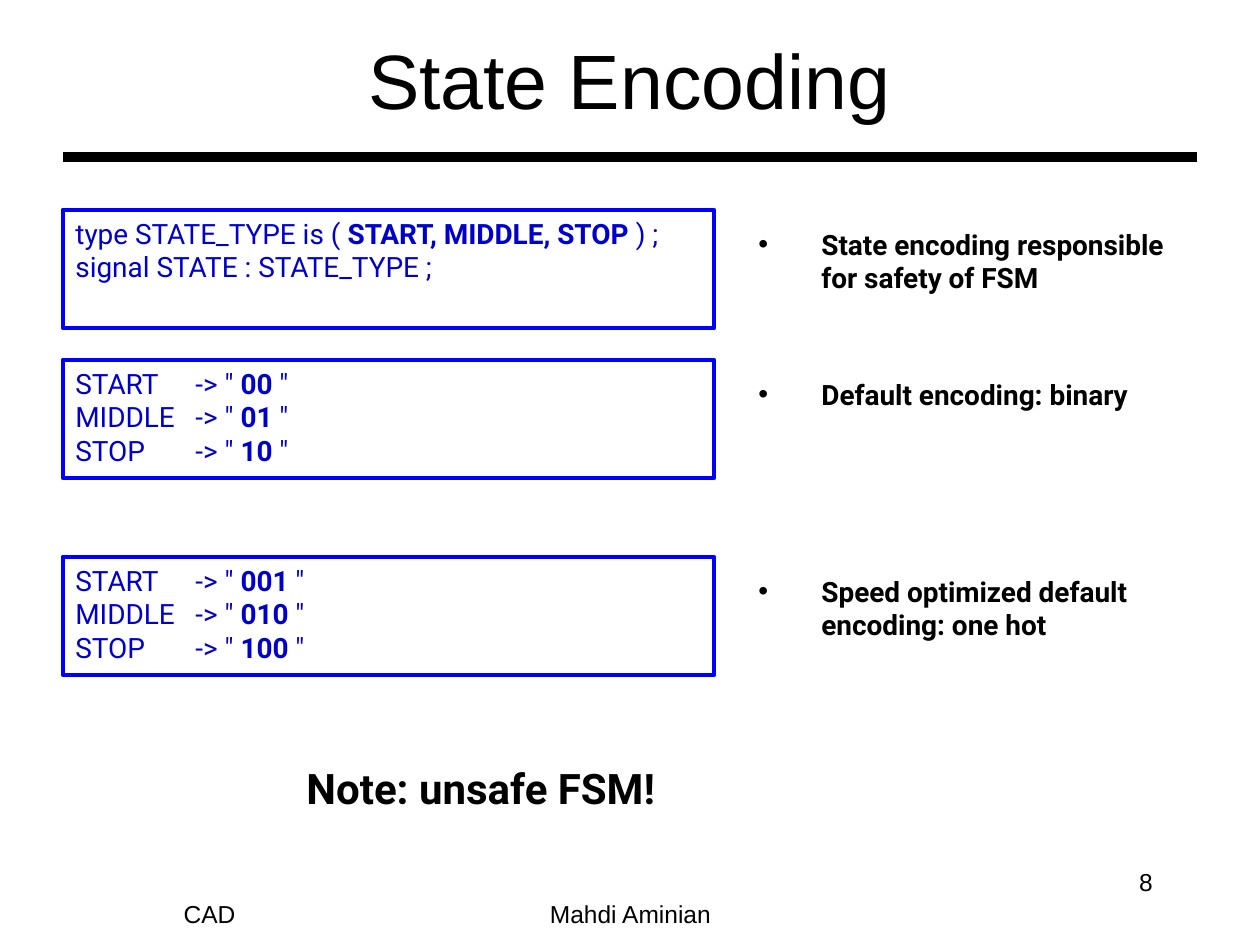
"""Build the State Encoding slide."""
import pptx
import pptx.util
import pptx.dml.color
import pptx.enum.shapes
import pptx.enum.text
import lxml.etree

EMU_PER_PX = 914400 / 126
COLORS = {"ink": "000000", "code": "0000CC", "frame": "0000FF"}
ALIGN = pptx.enum.text.PP_ALIGN
ANCHOR = pptx.enum.text.MSO_ANCHOR

TITLE = "State Encoding"
NOTE = "Note: unsafe FSM!"
FOOTERS = [
    ("CAD", (10, 882, 399, 63), ALIGN.CENTER, ANCHOR.MIDDLE),
    ("Mahdi Aminian", (431, 882, 399, 63), ALIGN.CENTER, ANCHOR.MIDDLE),
    ("8", (1081, 861, 84, 63), ALIGN.RIGHT, ANCHOR.TOP),
]
DECLARATION = [
    ("type STATE_TYPE is (", " START, MIDDLE, STOP", " ) ;"),
    ("signal STATE : STATE_TYPE ;",),
]
STATES = ["START", "MIDDLE", "STOP"]


def encoding(codes):
    return [(f'{state}\t-> "', f" {code}", ' "') for state, code in zip(STATES, codes)]


ROWS = [
    (210, DECLARATION, "State encoding responsible\nfor safety of FSM"),
    (360, encoding(["00", "01", "10"]), "Default encoding: binary"),
    (557, encoding(["001", "010", "100"]), "Speed optimized default\nencoding: one hot"),
]
CODE_LEFT, CODE_WIDTH, CODE_HEIGHT = 63, 651, 118
BULLET_LEFT, BULLET_WIDTH, BULLET_DROP, BULLET_INDENT = 746, 462, 11, 63
ARROW_TAB = 120


def px(value):
    return pptx.util.Emu(round(value * EMU_PER_PX))


def box(*values):
    return [px(value) for value in values]


def color(name):
    return pptx.dml.color.RGBColor.from_string(COLORS[name])


def add_property(paragraph, tag, **attributes):
    namespace = pptx.oxml.ns.nsdecls("a")
    element = pptx.oxml.parse_xml(f"<a:{tag} {namespace}/>")
    for name, value in attributes.items():
        element.set(name, str(value))
    paragraph._p.get_or_add_pPr().append(element)
    return element


def style(paragraph, size, font="Roboto", ink="ink", bold=False):
    paragraph.font.size = pptx.util.Pt(size)
    paragraph.font.name = font
    paragraph.font.color.rgb = color(ink)
    paragraph.font.bold = bold


def add_text(slide, text, place, wrap=True):
    frame = slide.shapes.add_textbox(*box(*place)).text_frame
    frame.word_wrap = wrap
    paragraph = frame.paragraphs[0]
    paragraph.text = text
    return frame, paragraph


def add_code(slide, top, lines):
    shape = slide.shapes.add_shape(
        pptx.enum.shapes.MSO_SHAPE.RECTANGLE,
        *box(CODE_LEFT, top, CODE_WIDTH, CODE_HEIGHT))
    shape.shadow.inherit = False
    shape.fill.background()
    shape.line.color.rgb = color("frame")
    shape.line.width = pptx.util.Pt(2.75)
    frame = shape.text_frame
    frame.vertical_anchor = ANCHOR.TOP
    for number, parts in enumerate(lines):
        paragraph = frame.add_paragraph() if number else frame.paragraphs[0]
        paragraph.alignment = ALIGN.LEFT
        if "\t" in parts[0]:
            tabs = add_property(paragraph, "tabLst")
            tab = lxml.etree.SubElement(tabs, pptx.oxml.ns.qn("a:tab"))
            tab.set("pos", str(px(ARROW_TAB)))
            tab.set("algn", "l")
        style(paragraph, 16, ink="code")
        for position, part in enumerate(parts):
            run = paragraph.add_run()
            run.text = part
            run.font.bold = position == 1


def add_bullet(slide, top, text):
    height = 80 if "\n" in text else 47
    place = (BULLET_LEFT, top + BULLET_DROP, BULLET_WIDTH, height)
    paragraph = add_text(slide, text, place)[1]
    properties = paragraph._p.get_or_add_pPr()
    properties.set("marL", str(px(BULLET_INDENT)))
    properties.set("indent", str(-px(BULLET_INDENT)))
    add_property(paragraph, "buFont", typeface="Arial")
    add_property(paragraph, "buChar", char="•")
    style(paragraph, 16, bold=True)


def main():
    presentation = pptx.Presentation()
    presentation.slide_width, presentation.slide_height = box(1260, 945)
    slide = presentation.slides.add_slide(presentation.slide_layouts[5])

    title = slide.shapes.title
    title.left, title.top, title.width, title.height = box(94, 0, 1071, 157)
    title.text_frame.text = TITLE
    title.text_frame.vertical_anchor = ANCHOR.MIDDLE
    heading = title.text_frame.paragraphs[0]
    heading.alignment = ALIGN.CENTER
    style(heading, 44, "Arial")

    rule = slide.shapes.add_connector(
        pptx.enum.shapes.MSO_CONNECTOR.STRAIGHT, *box(63, 157, 1197, 157))
    rule.line.color.rgb = color("ink")
    rule.line.width = pptx.util.Pt(6)
    lxml.etree.SubElement(rule._element.spPr, pptx.oxml.ns.qn("a:effectLst"))

    for top, lines, text in ROWS:
        add_code(slide, top, lines)
        add_bullet(slide, top, text)

    note = add_text(slide, NOTE, (294, 756, 398, 63), wrap=False)[1]
    style(note, 24, bold=True)

    for text, place, alignment, anchor in FOOTERS:
        frame, paragraph = add_text(slide, text, place)
        frame.vertical_anchor = anchor
        paragraph.alignment = alignment
        style(paragraph, 14, "Arial")

    presentation.save("out.pptx")


if __name__ == "__main__":
    main()
